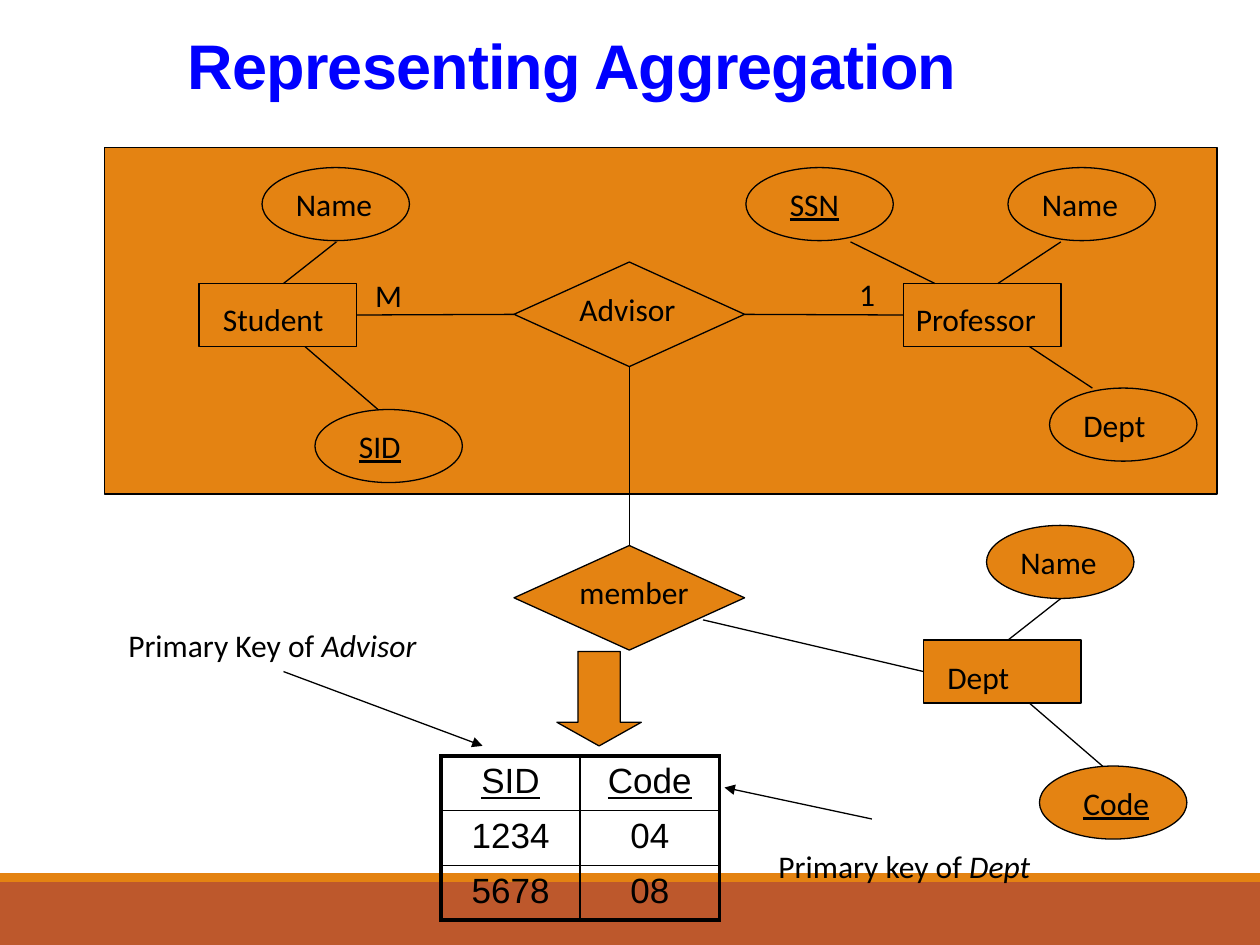
from lxml import etree
from pptx import Presentation
from pptx.dml.color import RGBColor
from pptx.enum.shapes import MSO_CONNECTOR, MSO_SHAPE
from pptx.enum.text import MSO_ANCHOR, PP_ALIGN
from pptx.oxml.ns import qn
from pptx.util import Inches, Pt

ORANGE, RUST, BLACK, WHITE, BLUE = "E48312", "BD582C", "000000", "FFFFFF", "0000FF"
TOP, LEFT, BOTTOM, RIGHT = range(4)
ATTRIBUTE, ENTITY, RELATION = MSO_SHAPE.OVAL, MSO_SHAPE.RECTANGLE, MSO_SHAPE.FLOWCHART_DECISION
NODE_SIZE = {ATTRIBUTE: (1.17, 0.58), ENTITY: (1.25, 0.5), RELATION: (1.83, 0.83)}


def color(hex_value):
    return RGBColor.from_string(hex_value)


def set_font(font, size, name="Calibri", fill=BLACK):
    font.size, font.name = Pt(size), name
    font.color.rgb = color(fill)


def add_shape(s, kind, x, y, w, h, fill=ORANGE, outlined=True):
    sp = s.shapes.add_shape(kind, Inches(x), Inches(y), Inches(w), Inches(h))
    sp.shadow.inherit = False
    sp.fill.solid()
    sp.fill.fore_color.rgb = color(fill)
    if outlined:
        sp.line.color.rgb = color(BLACK)
        sp.line.width = Pt(0.75)
    else:
        sp.line.fill.background()
    return sp


def add_label(s, x, y, w, text, italic="", underline=False):
    """Add a left-aligned line of text, with an optional italic ending."""
    tf = s.shapes.add_textbox(Inches(x), Inches(y), Inches(w), Inches(0.4)).text_frame
    tf.word_wrap = True
    p = tf.paragraphs[0]
    set_font(p.font, 18)
    r = p.add_run()
    r.text = text
    if underline:
        r.font.underline = True
    if italic:
        r = p.add_run()
        r.text = italic
        r.font.italic = True


def add_node(s, kind, x, y, text, dx, dy, w, key=False):
    """Add a diagram node and its label, offset by dx, dy from the node's corner."""
    sp = add_shape(s, kind, x, y, *NODE_SIZE[kind])
    add_label(s, x + dx, y + dy, w, text, underline=key)
    return sp


def add_attribute(s, x, y, text, w, key=False):
    add_node(s, ATTRIBUTE, x, y, text, 0.25 if key else 0.17, 0.09, w, key)


def add_line(s, x1, y1, x2, y2, begin=None, end=None, arrow=False):
    """Add a line; begin and end are (shape, side) pairs to join."""
    cn = s.shapes.add_connector(MSO_CONNECTOR.STRAIGHT, Inches(x1), Inches(y1), Inches(x2), Inches(y2))
    cn.line.color.rgb = color(BLACK)
    cn.line.width = Pt(0.75)
    if begin:
        cn.begin_connect(*begin)
    if end:
        cn.end_connect(*end)
    if arrow:
        etree.SubElement(cn.line._get_or_add_ln(), qn("a:tailEnd"), type="triangle")
    etree.SubElement(cn._element.spPr, qn("a:effectLst"))


def set_borders(cell, widths):
    tcPr = cell._tc.get_or_add_tcPr()
    for i, (side, width) in enumerate(widths.items()):
        ln = etree.Element(qn(f"a:ln{side}"), w=str(Pt(width)))
        fill = etree.SubElement(ln, qn("a:solidFill"))
        etree.SubElement(fill, qn("a:srgbClr"), val=BLACK)
        tcPr.insert(i, ln)


def add_key_table(s, rows):
    n_rows, n_cols = len(rows), len(rows[0])
    frame = s.shapes.add_table(n_rows, n_cols, Inches(3.5), Inches(6), Inches(2.21), Inches(1.3))
    table = frame.table
    table.first_row = table.horz_banding = False
    for i, row in enumerate(rows):
        for j, text in enumerate(row):
            cell = table.cell(i, j)
            cell.text = text
            p = cell.text_frame.paragraphs[0]
            p.alignment = PP_ALIGN.CENTER
            set_font(p.font, 20, "Arial")
            if i == 0:
                p.font.underline = True
            if i == 1:
                cell.fill.solid()
                cell.fill.fore_color.rgb = color(WHITE)
            else:
                cell.fill.background()
            outer = {"L": j == 0, "R": j == n_cols - 1, "T": i == 0, "B": i == n_rows - 1}
            set_borders(cell, {side: 2.25 if edge else 1 for side, edge in outer.items()})


def add_title(s, text):
    tf = s.shapes.add_textbox(Inches(0.5), Inches(0.25), Inches(8.08), Inches(0.62)).text_frame
    tf.word_wrap = True
    tf.vertical_anchor = MSO_ANCHOR.MIDDLE
    p = tf.paragraphs[0]
    p.alignment, p.line_spacing = PP_ALIGN.CENTER, 0.85
    set_font(p.font, 36, "Arial", BLUE)
    p.font.bold = True
    r = p.add_run()
    r.text = text
    r._r.get_or_add_rPr().set("spc", "-50")


def add_diagram(s):
    add_shape(s, MSO_SHAPE.RECTANGLE, 0.83, 1.17, 8.83, 2.75)
    student = add_node(s, ENTITY, 1.58, 2.25, "Student", 0.09, 0.08, 1.08)
    professor = add_node(s, ENTITY, 7.17, 2.25, "Professor", 0, 0.08, 1.33)
    dept = add_node(s, ENTITY, 7.33, 5.08, "Dept", 0.09, 0.09, 1.08)
    advisor = add_node(s, RELATION, 4.08, 2.08, "Advisor", 0.42, 0.17, 1.08)
    member = add_node(s, RELATION, 4.08, 4.33, "member", 0.42, 0.17, 1.25)

    for x, y, text, w, key in [
        (2.08, 1.33, "Name", 0.92, False),
        (2.5, 3.25, "SID", 0.75, True),
        (5.92, 1.33, "SSN", 0.83, True),
        (8, 1.33, "Name", 0.92, False),
        (8.33, 3.08, "Dept", 0.83, False),
        (7.83, 4.17, "Name", 0.92, False),
        (8.25, 6.08, "Code", 0.92, True),
    ]:
        add_attribute(s, x, y, text, w, key)

    for ends in [
        (2.67, 1.92, 2.25, 2.25),
        (3, 3.25, 2.42, 2.75),
        (6.75, 1.92, 7.42, 2.25),
        (8.42, 1.92, 7.92, 2.25),
        (8.67, 3.08, 8.17, 2.75),
        (8.42, 4.75, 8, 5.08),
        (8.75, 6.08, 8.17, 5.58),
    ]:
        add_line(s, *ends)
    add_line(s, 2.83, 2.5, 4.08, 2.5, (student, RIGHT), (advisor, LEFT))
    add_line(s, 5.92, 2.5, 7.17, 2.5, (advisor, RIGHT), (professor, LEFT))
    add_line(s, 5, 4.33, 5, 2.92, (member, TOP), (advisor, BOTTOM))
    add_line(s, 7.33, 5.33, 5.58, 4.92, (dept, LEFT))
    add_label(s, 2.88, 2.14, 0.66, "M")
    add_label(s, 6.72, 2.13, 0.66, "1")


def main():
    prs = Presentation()
    prs.slide_width, prs.slide_height = Inches(10), Inches(7.5)
    s = prs.slides.add_slide(prs.slide_layouts[6])
    add_shape(s, MSO_SHAPE.RECTANGLE, 0, 7, 10, 0.5, RUST, outlined=False)
    add_shape(s, MSO_SHAPE.RECTANGLE, 0, 6.93, 10, 0.07, outlined=False)
    add_title(s, "Representing Aggregation")
    add_diagram(s)
    add_key_table(s, [("SID", "Code"), ("1234", "04"), ("5678", "08")])
    arrow = add_shape(s, MSO_SHAPE.DOWN_ARROW, 4.42, 5.17, 0.67, 0.75)
    arrow.adjustments[1] = 0.28
    add_line(s, 2.25, 5.33, 3.83, 5.92, arrow=True)
    add_label(s, 0.92, 4.92, 2.83, "Primary Key of ", "Advisor")
    add_line(s, 6.92, 6.5, 5.75, 6.25, arrow=True)
    add_label(s, 6.08, 6.67, 2.42, "Primary key of ", "Dept")
    prs.save("out.pptx")


if __name__ == "__main__":
    main()
